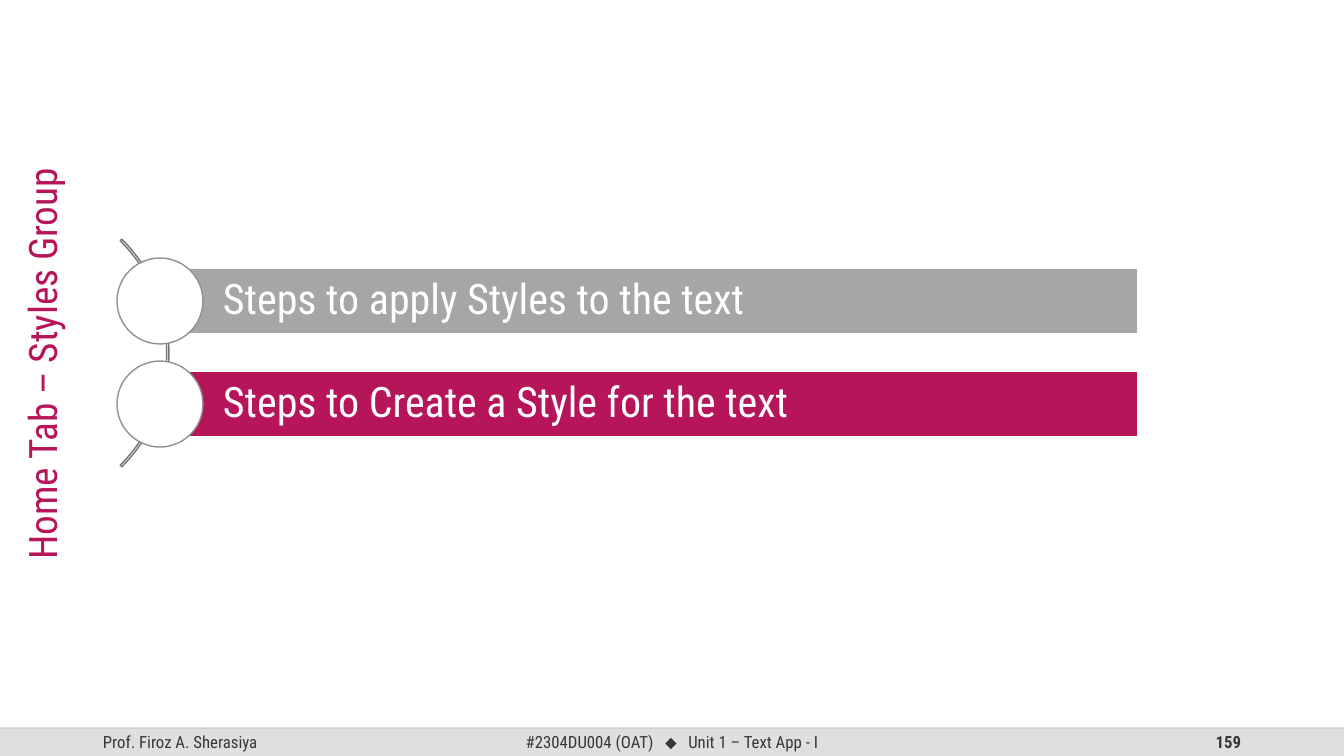
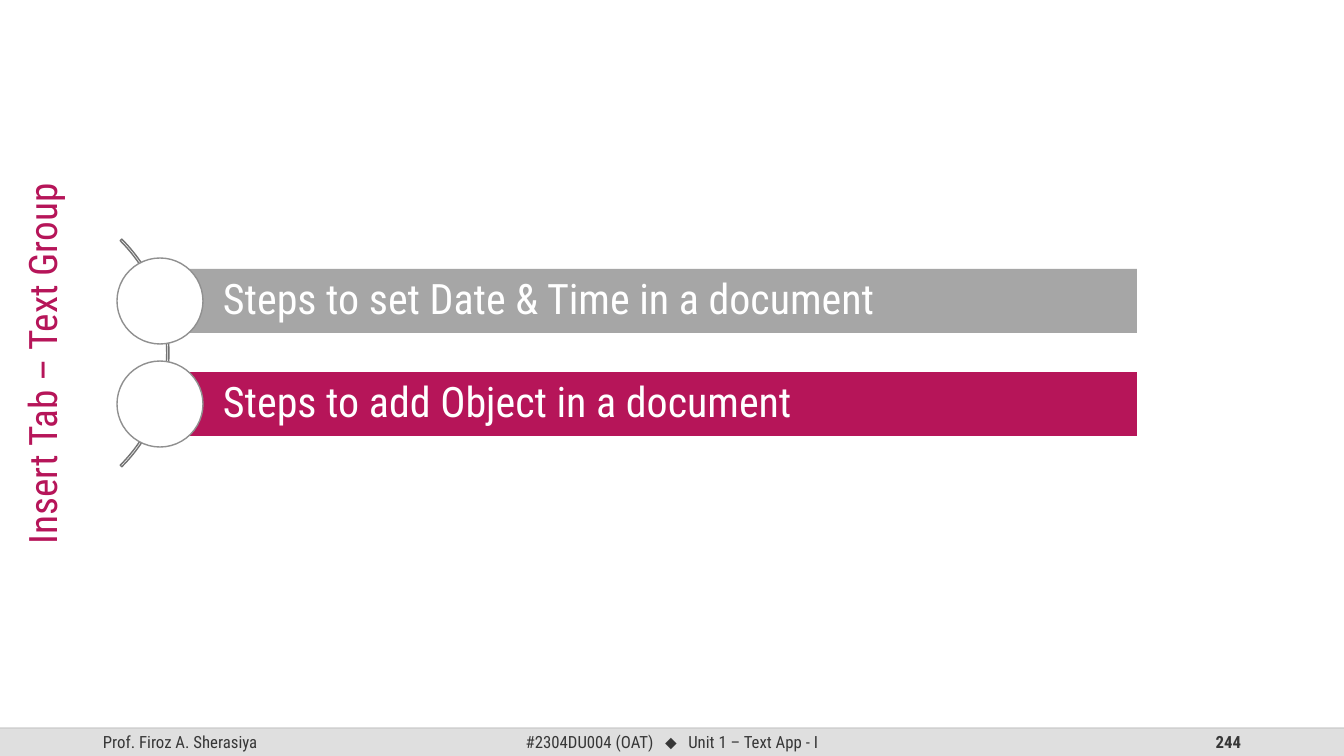
"""Build two section slides: a vertical title beside a curved list of steps."""
from lxml.etree import SubElement
from pptx import Presentation
from pptx.dml.color import RGBColor
from pptx.enum.shapes import MSO_CONNECTOR, MSO_SHAPE
from pptx.enum.text import MSO_ANCHOR, PP_ALIGN
from pptx.oxml.ns import qn
from pptx.util import Pt

W, H = 1344, 756
SCALE = 12192000 / W
FONT = "Roboto Condensed"
rgb = RGBColor.from_string

ACCENT, GREY, WHITE, DARK = "B61559", "A6A6A6", "FFFFFF", "373737"
BAND, RULE, ARC_LINE, RING = "DFDFDF", "BFBFBF", "737373", "909090"

FOOTER_Y, FOOTER_H = 728, 28
BAR_X, BAR_Y, BAR_W, BAR_H, PITCH = 169, 269, 968, 64, 103
RING_X, RING_SIZE = 117, 86
SPACE_GAP = "540"

AUTHOR = "Prof. Firoz A. Sherasiya"
COURSE = ["#2304DU004 (OAT)", " ", "⬥", " ", "Unit 1 – Text App - I"]
SLIDES = [
    ("Home Tab – Styles Group", "159",
     ["Steps to apply Styles to the text", "Steps to Create a Style for the text"]),
    ("Insert Tab – Text Group", "244",
     ["Steps to set Date & Time in a document", "Steps to add Object in a document"]),
]


def add_box(s, kind, box, fill=None, line=None):
    """Add a preset shape, or a text box when kind is None."""
    box = [round(v * SCALE) for v in box]
    if kind is None:
        sp = s.shapes.add_textbox(*box)
    else:
        sp = s.shapes.add_shape(kind, *box)
        sp.shadow.inherit = False
        if fill:
            sp.fill.solid()
            sp.fill.fore_color.rgb = rgb(fill)
        else:
            sp.fill.background()
        if line:
            sp.line.color.rgb = rgb(line)
            sp.line.width = Pt(1)
        else:
            sp.line.fill.background()
    sp.text_frame.word_wrap = True
    return sp


def write(sp, parts, size, color, align=PP_ALIGN.LEFT, bold=False, anchor=MSO_ANCHOR.MIDDLE):
    """Write one paragraph made of the given runs and return it."""
    tf = sp.text_frame
    tf.vertical_anchor = anchor
    p = tf.paragraphs[0]
    p.alignment = align
    for part in parts:
        r = p.add_run()
        r.text = part
        r.font.size = Pt(size)
        r.font.name = "Arial" if part == "⬥" else FONT
        r.font.bold = bold
        r.font.color.rgb = rgb(color)
        if part == " ":
            r.font._element.set("spc", SPACE_GAP)
    return p


prs = Presentation()
prs.slide_width, prs.slide_height = round(W * SCALE), round(H * SCALE)

for title, number, steps in SLIDES:
    s = prs.slides.add_slide(prs.slide_layouts[6])

    add_box(s, MSO_SHAPE.RECTANGLE, (0, FOOTER_Y, W, FOOTER_H), BAND)
    for x, w, parts, align, bold in [
        (93, 302, [AUTHOR], PP_ALIGN.LEFT, False),
        (445, 454, COURSE, PP_ALIGN.CENTER, False),
        (949, 302, [number], PP_ALIGN.RIGHT, True),
    ]:
        sp = add_box(s, None, (x, FOOTER_Y, w, FOOTER_H))
        write(sp, parts, 12, DARK, align, bold)
    y = round(FOOTER_Y * SCALE)
    rule = s.shapes.add_connector(MSO_CONNECTOR.STRAIGHT, 0, y, prs.slide_width, y)
    rule.line.color.rgb = rgb(RULE)
    rule.line.width = Pt(1)
    color = rule._element.spPr.find(".//" + qn("a:srgbClr"))
    SubElement(color, qn("a:alpha"), val="70000")
    SubElement(rule._element.spPr, qn("a:effectLst"))

    arc = add_box(s, MSO_SHAPE.BLOCK_ARC, (-153, 192, 322, 322), line=ARC_LINE)
    for i, value in enumerate((189, 27, 0.007)):
        arc.adjustments[i] = value

    for i, (step, fill) in enumerate(zip(steps, (GREY, ACCENT))):
        y = BAR_Y + i * PITCH
        bar = add_box(s, MSO_SHAPE.RECTANGLE, (BAR_X, y, BAR_W, BAR_H), fill)
        tf = bar.text_frame
        tf.margin_left = round(54 * SCALE)
        tf.margin_right = tf.margin_top = tf.margin_bottom = round(8 * SCALE)
        write(bar, [step], 30, WHITE).line_spacing = 0.9
        ring_y = y + (BAR_H - RING_SIZE) // 2
        add_box(s, MSO_SHAPE.OVAL, (RING_X, ring_y, RING_SIZE, RING_SIZE), WHITE, RING)

    sp = add_box(s, None, (13, 118, 68, 492))
    sp.text_frame._txBody.bodyPr.set("vert", "vert270")
    write(sp, [title], 28, ACCENT, PP_ALIGN.CENTER, anchor=MSO_ANCHOR.TOP)

prs.save("out.pptx")
